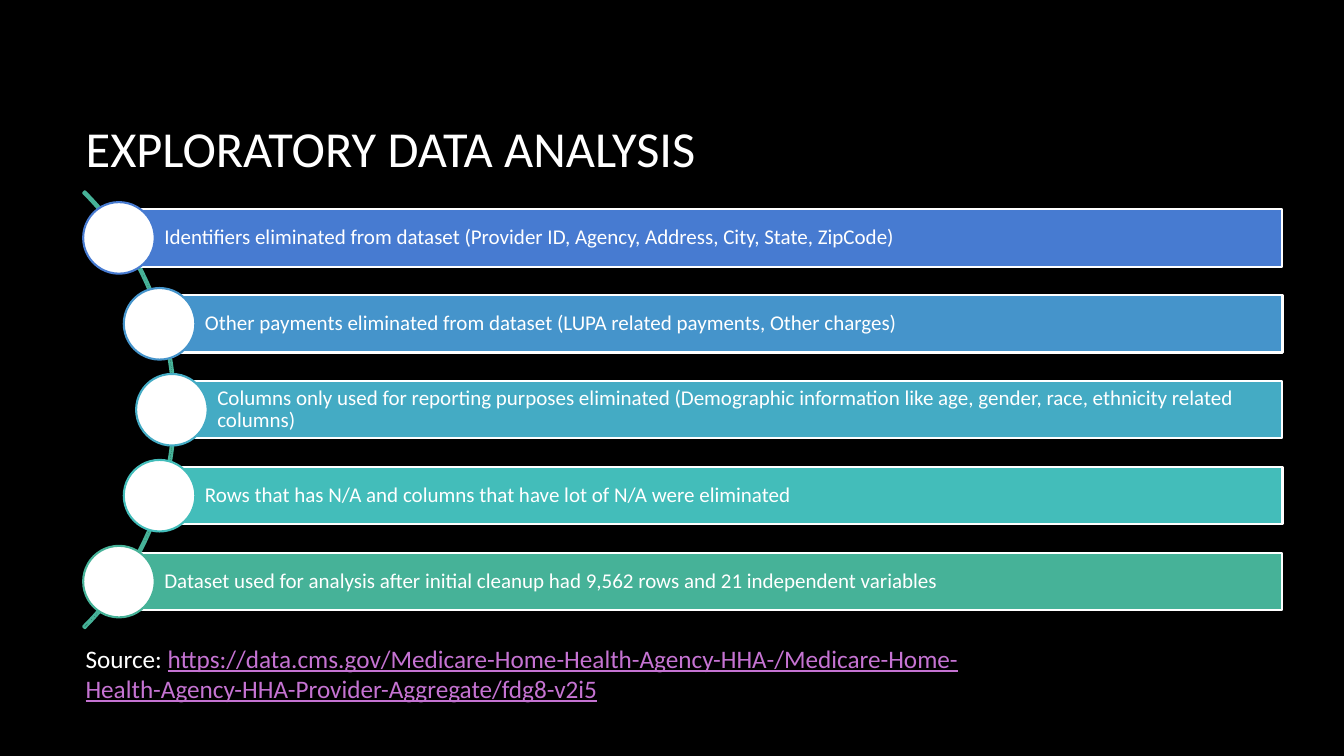
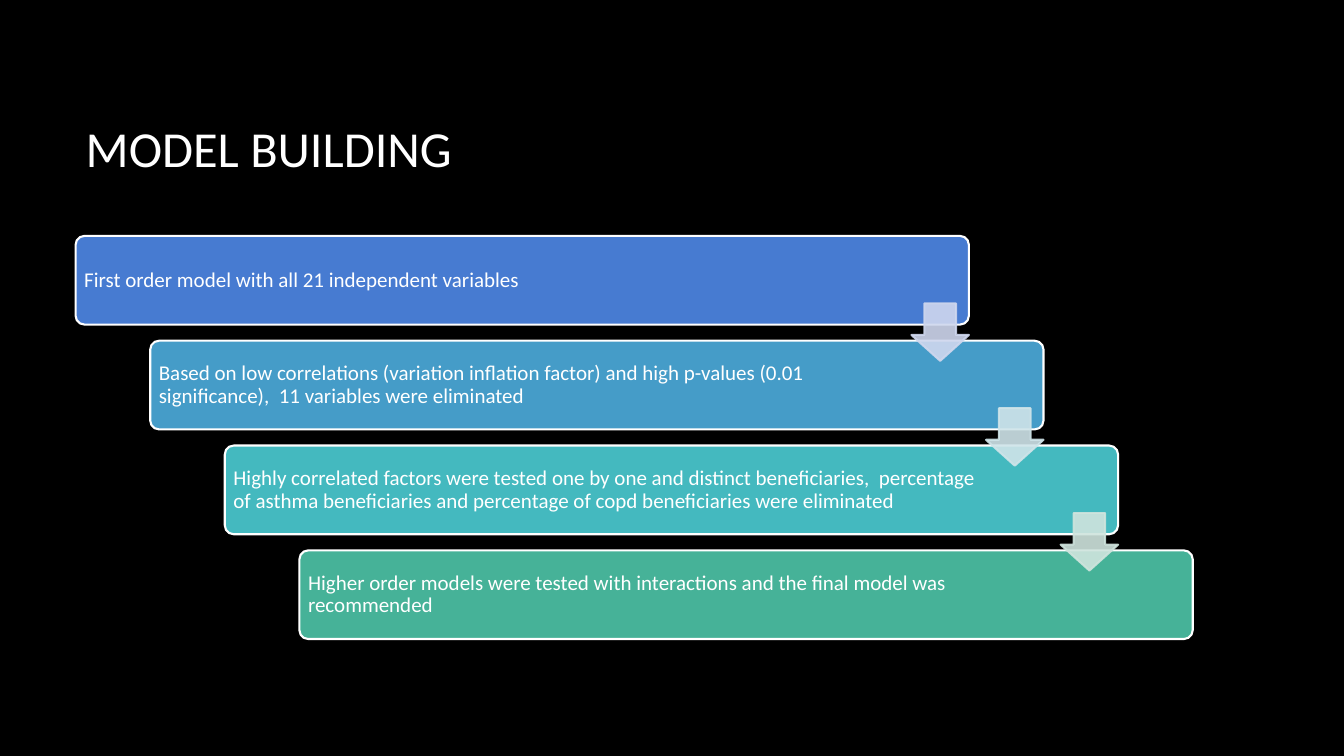
import math
from dataclasses import dataclass

import lxml.etree
import pptx
import pptx.dml.color
import pptx.enum.shapes
import pptx.enum.text
import pptx.oxml.ns
import pptx.util

SHAPE = pptx.enum.shapes.MSO_SHAPE
ANCHOR = pptx.enum.text.MSO_ANCHOR
EMU_PER_PX = 9144
TITLE_ONLY = 5


@dataclass(frozen=True)
class Theme:
    font: str = "Calibri"
    background: str = "000000"
    text: str = "FFFFFF"
    link: str = "C573D2"
    arc: str = "46B298"
    bars: tuple = ("477BD1", "4594CB", "44ABC4", "43BDBA", "46B298")
    steps: tuple = ("477BD1", "459CC8", "44B9BF", "46B298")
    arrows: tuple = ("CFD7EE", "CFE4E9", "CFE4DD")
    title_size: int = 36
    source_size: int = 18
    body_size: int = 15
    line_width: float = 1.5
    arrow_opacity: int = 90


THEME = Theme()

CLEANUP_ACTIONS = (
    "Identifiers eliminated from dataset (Provider ID, Agency, Address, City, State, ZipCode)",
    "Other payments eliminated from dataset (LUPA related payments, Other charges)",
    "Columns only used for reporting purposes eliminated (Demographic information like age, "
    "gender, race, ethnicity related columns)",
    "Rows that has N/A and columns that have lot of N/A were eliminated",
    "Dataset used for analysis after initial cleanup had 9,562 rows and 21 independent variables",
)
SOURCE_URL = (
    "https://data.cms.gov/Medicare-Home-Health-Agency-HHA-/"
    "Medicare-Home-Health-Agency-HHA-Provider-Aggregate/fdg8-v2i5"
)
MODEL_STEPS = (
    "First order model with all 21 independent variables",
    "Based on low correlations (variation inflation factor) and high p-values "
    "(0.01 significance),  11 variables were eliminated",
    "Highly correlated factors were tested one by one and distinct beneficiaries,  percentage "
    "of asthma beneficiaries and percentage of copd beneficiaries were eliminated",
    "Higher order models were tested with interactions and the final model was recommended",
)


def px(length):
    return pptx.util.Emu(round(length * EMU_PER_PX))


def rgb(color):
    return pptx.dml.color.RGBColor.from_string(color)


def write_text(box, *spans, size, insets=(10, 5, 10, 5), anchor=ANCHOR.MIDDLE, spacing=1.0):
    frame = box.text_frame
    frame.word_wrap = True
    frame.auto_size = pptx.enum.text.MSO_AUTO_SIZE.NONE
    frame.vertical_anchor = anchor
    frame.margin_left, frame.margin_top, frame.margin_right, frame.margin_bottom = map(px, insets)
    para = frame.paragraphs[0]
    para.alignment = pptx.enum.text.PP_ALIGN.LEFT
    para.line_spacing = spacing
    for text, color, underline in spans:
        span = para.add_run()
        span.text = text
        span.font.name = THEME.font
        span.font.size = pptx.util.Pt(size)
        span.font.color.rgb = rgb(color)
        span.font.underline = underline


def plain(text):
    return text, THEME.text, None


def add_shape(page, kind, left, top, width, height, fill, line, adjustments=()):
    shape = page.shapes.add_shape(kind, px(left), px(top), px(width), px(height))
    shape.shadow.inherit = False
    if fill:
        shape.fill.solid()
        shape.fill.fore_color.rgb = rgb(fill)
    else:
        shape.fill.background()
    shape.line.color.rgb = rgb(line)
    shape.line.width = pptx.util.Pt(THEME.line_width)
    for index, value in enumerate(adjustments):
        shape.adjustments[index] = value
    return shape


def set_opacity(shape, percent):
    for color in shape.element.iter(pptx.oxml.ns.qn("a:srgbClr")):
        alpha = lxml.etree.SubElement(color, pptx.oxml.ns.qn("a:alpha"))
        alpha.set("val", str(percent * 1000))


def add_page(deck, title):
    page = deck.slides.add_slide(deck.slide_layouts[TITLE_ONLY])
    box = page.shapes.title
    box.left, box.top, box.width, box.height = map(px, (75, 67, 1108, 159))
    write_text(box, plain(title), size=THEME.title_size)
    return page


def add_arc_list(page, items):
    arc_left, arc_top, diameter = -439, 100, 613
    center_x, center_y = arc_left + diameter / 2, arc_top + diameter / 2
    track_radius = 303
    bar_height, bar_right, dot, pitch = 57, 1272, 71, 341 / 4
    add_shape(page, SHAPE.BLOCK_ARC, arc_left, arc_top, diameter, diameter,
              None, THEME.arc, (189, 27, 0.004))
    for index, (text, color) in enumerate(zip(items, THEME.bars)):
        offset = (index - (len(items) - 1) / 2) * pitch
        left = center_x + math.sqrt(track_radius ** 2 - offset ** 2)
        middle = center_y + offset
        bar = add_shape(page, SHAPE.RECTANGLE, left, middle - bar_height / 2,
                        bar_right - left, bar_height, color, THEME.text)
        write_text(bar, plain(text), size=THEME.body_size, insets=(45, 4, 4, 4), spacing=0.9)
        add_shape(page, SHAPE.OVAL, left - dot / 2, middle - dot / 2, dot, dot,
                  THEME.text, color)


def add_staircase(page, items):
    left, top, width, height = 75, 234, 886, 88
    step_x, step_y, arrow = 74, 104, 57
    for index, (text, color) in enumerate(zip(items, THEME.steps)):
        step = add_shape(page, SHAPE.ROUNDED_RECTANGLE, left + index * step_x,
                         top + index * step_y, width, height, color, THEME.text, (0.1,))
        write_text(step, plain(text), size=THEME.body_size, insets=(6, 6, 136, 6), spacing=0.9)
    for index, color in enumerate(THEME.arrows):
        pointer = add_shape(page, SHAPE.DOWN_ARROW, left + width - arrow + index * step_x,
                            top + 67 + index * step_y, arrow, arrow, color, color, (0.55, 0.45))
        set_opacity(pointer, THEME.arrow_opacity)


def add_source(page, url):
    box = page.shapes.add_textbox(px(75), px(633), px(925), px(71))
    write_text(box, plain("Source: "), (url, THEME.link, True),
               size=THEME.source_size, anchor=ANCHOR.TOP)


def main():
    deck = pptx.Presentation()
    deck.slide_width, deck.slide_height = px(1333), px(750)
    backdrop = deck.slide_master.background.fill
    backdrop.solid()
    backdrop.fore_color.rgb = rgb(THEME.background)

    analysis = add_page(deck, "EXPLORATORY DATA ANALYSIS")
    add_source(analysis, SOURCE_URL)
    add_arc_list(analysis, CLEANUP_ACTIONS)

    building = add_page(deck, "MODEL BUILDING")
    add_staircase(building, MODEL_STEPS)

    deck.save("out.pptx")


if __name__ == "__main__":
    main()
